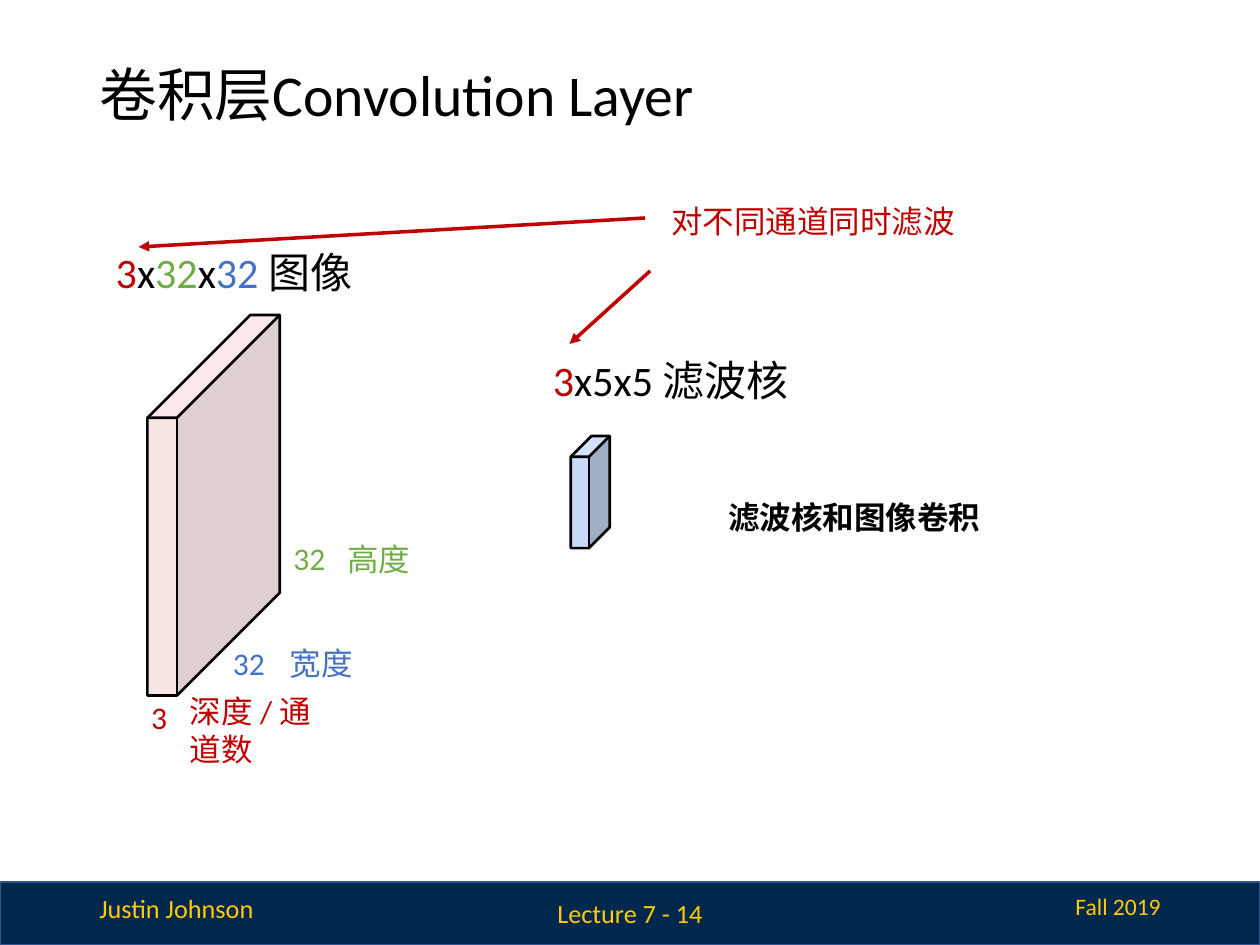
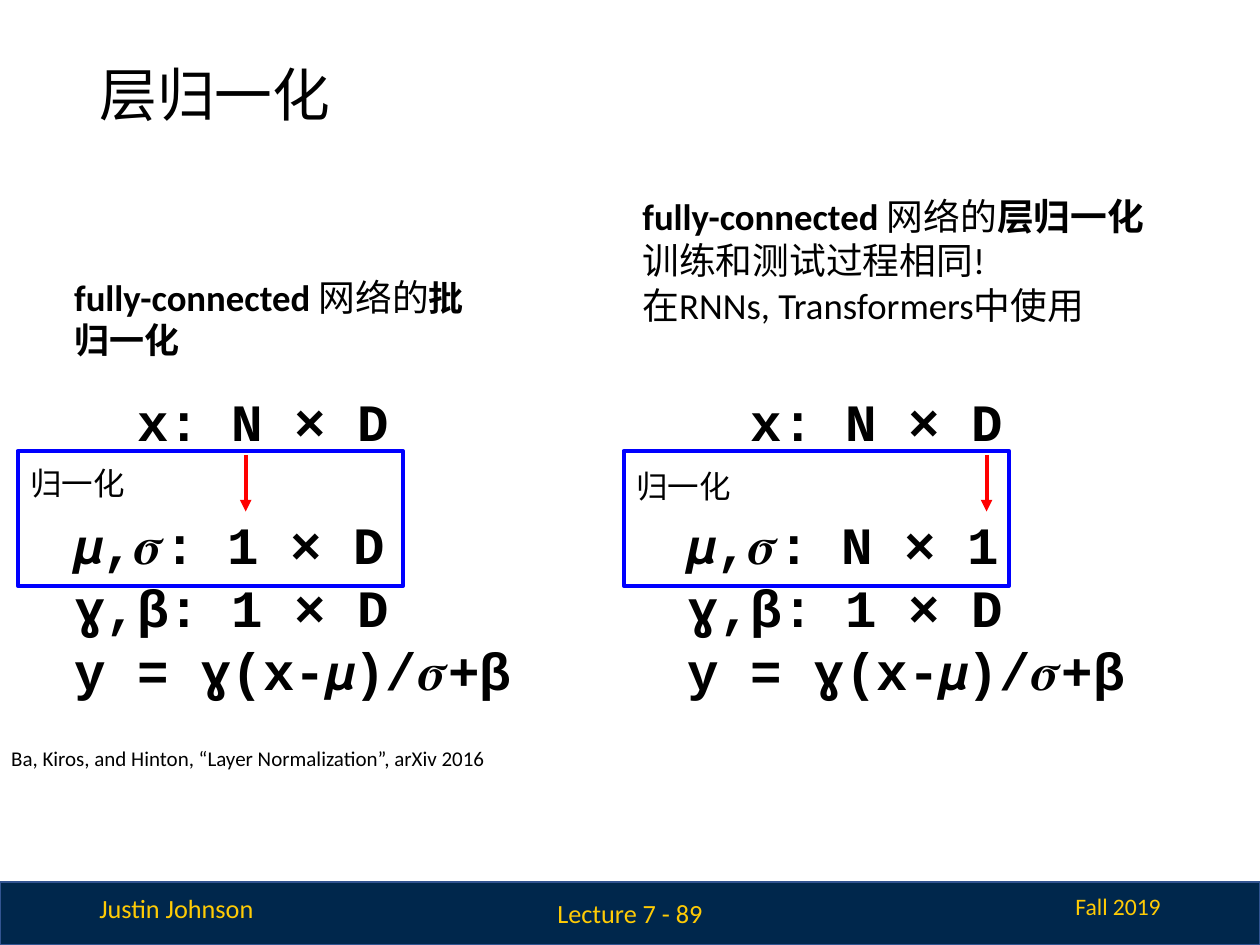
import pptx
import pptx.util
import pptx.dml.color
import pptx.enum.shapes
import pptx.enum.text
import pptx.oxml.ns
import lxml.etree

Inches, Pt = pptx.util.Inches, pptx.util.Pt
RGB = pptx.dml.color.RGBColor.from_string
SHAPE = pptx.enum.shapes.MSO_SHAPE
ALIGN = pptx.enum.text.PP_ALIGN
MIDDLE = pptx.enum.text.MSO_ANCHOR.MIDDLE
qn = pptx.oxml.ns.qn

C = {"navy": "00274C", "band_line": "325491", "maize": "FFCB05", "black": "000000",
     "depth": "C00000", "height": "70AD47", "width": "4472C4",
     "image": "F4CCCC", "kernel": "C9DAF8", "frame": "0000FF", "arrow": "FF0000"}


def add_text(s, box, paras, color="black", inset=0.1, anchor=None, align=None, **base):
    """Each paragraph is a list of (text, format) runs; a plain string is one run."""
    tf = s.shapes.add_textbox(*map(Inches, box)).text_frame
    frame = {"word_wrap": True, "vertical_anchor": anchor, "margin_left": Inches(0.1),
             "margin_right": Inches(0.1), "margin_top": Inches(inset), "margin_bottom": Inches(inset)}
    for key, value in frame.items():
        setattr(tf, key, value)
    for i, runs in enumerate([paras] if isinstance(paras, str) else paras):
        p = tf.add_paragraph() if i else tf.paragraphs[0]
        p.alignment = align
        for text, fmt in [(runs, {})] if isinstance(runs, str) else runs:
            r = p.add_run()
            r.text = text
            style = {"name": "Calibri", "size": 18, "color": color} | base | fmt
            r.font.color.rgb = RGB(C[style.pop("color")])
            style["size"] = Pt(style["size"])
            for key, value in style.items():
                setattr(r.font, key, value)
    return tf


def add_arrow(s, start, end, color, width):
    c = s.shapes.add_connector(pptx.enum.shapes.MSO_CONNECTOR.STRAIGHT, *map(Inches, start + end))
    c.line.color.rgb = RGB(C[color])
    c.line.width = Pt(width)
    lxml.etree.SubElement(c.line._get_or_add_ln(), qn("a:tailEnd"), type="triangle")
    lxml.etree.SubElement(c._element.spPr, qn("a:effectLst"))


prs = pptx.Presentation()
prs.slide_width, prs.slide_height = Inches(10), Inches(7.5)

# Shared band, footers and title
slides = []
for title, number in [("卷积层Convolution Layer", 14), ("层归一化", 89)]:
    s = prs.slides.add_slide(prs.slide_layouts[6])
    slides.append(s)
    band = s.shapes.add_shape(SHAPE.RECTANGLE, 0, Inches(7), Inches(10), Inches(0.5))
    band.shadow.inherit = False
    band.fill.solid()
    band.fill.fore_color.rgb = RGB(C["navy"])
    band.line.color.rgb = RGB(C["band_line"])
    band.line.width = Pt(1)
    footer = {"color": "maize", "inset": 0.05}
    add_text(s, (0.69, 7.03, 1.44, 0.35), "Justin Johnson", size=15, **footer)
    add_text(s, (7.33, 7.03, 1.98, 0.33), "Fall 2019", size=13.5, align=ALIGN.RIGHT, **footer)
    add_text(s, (3.65, 7.05, 2.7, 0.4), f"Lecture 7 - {number}", size=15,
             anchor=MIDDLE, align=ALIGN.CENTER, **footer)
    tf = add_text(s, (0.69, 0.4, 8.62, 0.75), title, size=33, inset=0.05, anchor=MIDDLE)
    tf.paragraphs[0].line_spacing = 0.9

# Slide 1: image and kernel volumes
s = slides[0]
for box, depth, color, alpha in [((1.17, 2.5, 1.05, 3.02), 0.777, "image", 52),
                                 ((4.53, 3.46, 0.31, 0.89), 0.534, "kernel", None)]:
    cube = s.shapes.add_shape(SHAPE.CUBE, *map(Inches, box))
    cube.shadow.inherit = False
    cube.adjustments[0] = depth
    cube.fill.solid()
    cube.fill.fore_color.rgb = RGB(C[color])
    cube.line.color.rgb = RGB(C["black"])
    cube.line.width = Pt(1.5)
    if alpha:
        srgb = cube._element.spPr.find(qn("a:solidFill")).find(qn("a:srgbClr"))
        lxml.etree.SubElement(srgb, qn("a:alpha"), val=str(alpha * 1000))

# Shape headings, coloured by dimension
depth, height, width = ({"color": name} for name in ("depth", "height", "width"))
add_text(s, (0.82, 1.86, 2.28, 0.52),
         [[("3", depth), ("x", {}), ("32", height), ("x", {}), ("32 ", width), ("图像", {})]], size=24)
add_text(s, (4.29, 2.71, 2.21, 0.51), [[("3", depth), ("x5x5 滤波核", {})]], size=24)

# Dimension labels and notes
for box, text, color, anchor, align in [
        ((1.75, 5.01, 0.54, 0.43), "32", "width", None, None),
        ((2.2, 5.01, 0.79, 0.43), "宽度", "width", None, None),
        ((2.21, 4.21, 0.49, 0.44), "32", "height", MIDDLE, ALIGN.CENTER),
        ((2.66, 4.23, 0.94, 0.41), "高度", "height", MIDDLE, None),
        ((1.1, 5.44, 0.32, 0.44), "3", "depth", None, None),
        ((1.41, 5.39, 1.24, 0.76), "深度 / 通道数", "depth", None, None),
        ((5.23, 1.5, 3.59, 0.74), "对不同通道同时滤波", "depth", None, None)]:
    add_text(s, box, text, color, anchor=anchor, align=align)
add_text(s, (5.68, 3.85, 4.13, 1.07), "滤波核和图像卷积", bold=True)
add_arrow(s, (5.16, 2.15), (4.52, 2.73), "depth", 2)
add_arrow(s, (5.12, 1.73), (1.1, 1.96), "depth", 2)

# Slide 2: batch normalization beside layer normalization
s = slides[1]
for left, width, stats, frame_left, label_top, arrow_x in [
        (0.49, 4.05, "1 × D", 0.14, 3.58, 1.95),
        (5.36, 4.1, "N × 1", 4.95, 3.61, 7.83)]:
    tf = add_text(s, (left, 2.99, width, 2.69),
                  ["x: N × D", f"𝞵,𝝈: {stats}", "ɣ,β: 1 × D", "y = ɣ(x-𝞵)/𝝈+β"],
                  name="Courier New", size=30, bold=True)
    tf.paragraphs[0]._p.get_or_add_pPr().set("marL", str(Inches(0.5)))
    tf.paragraphs[1].space_before = Pt(34)
    add_arrow(s, (arrow_x, 3.61), (arrow_x, 4.06), "arrow", 2.25)
    add_text(s, (frame_left, label_top, 1.55, 0.5), "归一化")
    frame = s.shapes.add_shape(SHAPE.RECTANGLE, *map(Inches, (frame_left, 3.58, 3.06, 1.07)))
    frame.shadow.inherit = False
    frame.fill.background()
    frame.line.color.rgb = RGB(C["frame"])
    frame.line.width = Pt(2.25)

# Column headings and citation
bold = {"bold": True}
heading = [("fully-connected ", bold), ("网络的", {})]
add_text(s, (0.49, 2.08, 3.52, 0.85), [heading + [("批归一化", bold | {"size": 20})]], size=21)
add_text(s, (5, 1.44, 4.61, 1.59),
         [heading + [("层归一化", bold)], "训练和测试过程相同!", "在RNNs, Transformers中使用"], size=21)
add_text(s, (-0.01, 5.88, 4.13, 0.27),
         "Ba, Kiros, and Hinton, “Layer Normalization”, arXiv 2016", size=12, anchor=MIDDLE)

prs.save("out.pptx")
